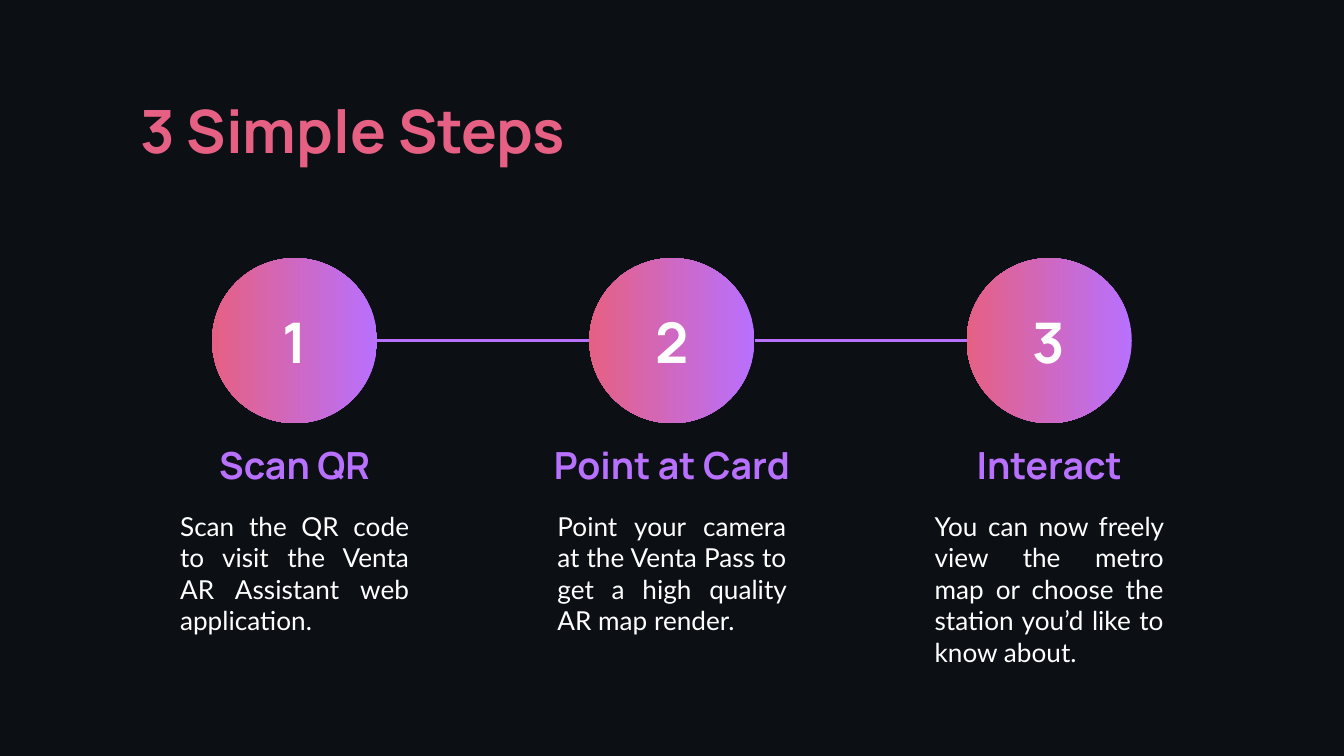
import pptx
import pptx.dml.color
import pptx.enum.shapes
import pptx.enum.text
import pptx.util
from lxml import etree
from pptx.oxml.ns import qn

Cm = pptx.util.Cm
Pt = pptx.util.Pt
ALIGN = pptx.enum.text.PP_ALIGN
ANCHOR = pptx.enum.text.MSO_ANCHOR

HEX = {"back": "0C0F14", "pink": "E66083", "violet": "B870FF", "white": "FFFFFF"}
STEPS = [
    ("Scan QR", 4.83,
     "Scan the QR code to visit the Venta AR Assistant web application."),
    ("Point at Card", 5.74,
     "Point your camera at the Venta Pass to get a high quality AR map render."),
    ("Interact", 4.83,
     "You can now freely view the metro map or choose the station you’d like to know about."),
]
WIDE, TALL = 25.4, 14.29
PITCH = 7.13    # between step centres
COL = 4.83      # width of a step
DISC = 3.12     # circle diameter
TOP = 4.88      # top of the steps


def color(name):
    return pptx.dml.color.RGBColor.from_string(HEX[name])


def write(shape, text, size, font, tint, align, bold=True, pad=0.25,
          anchor=ANCHOR.MIDDLE):
    frame = shape.text_frame
    frame.word_wrap = True
    frame.auto_size = pptx.enum.text.MSO_AUTO_SIZE.NONE
    frame.vertical_anchor = anchor
    frame.margin_left = frame.margin_right = Cm(0.25)
    frame.margin_top = frame.margin_bottom = Cm(pad)
    para = frame.paragraphs[0]
    para.text = text
    para.alignment = align
    para.font.size = Pt(size)
    para.font.name = font
    para.font.bold = bold
    para.font.color.rgb = color(tint)


def add_text(slide, x, y, w, h, *args, **style):
    box = slide.shapes.add_textbox(Cm(x), Cm(y), Cm(w), Cm(h))
    write(box, *args, **style)


def add_title(slide, x, y, w, h):
    title = slide.shapes.title
    title.left, title.top, title.width, title.height = Cm(x), Cm(y), Cm(w), Cm(h)
    write(title, "3 Simple Steps", 32, "Manrope", "pink", ALIGN.LEFT)


def add_disc(slide, x, y, size):
    disc = slide.shapes.add_shape(
        pptx.enum.shapes.MSO_SHAPE.OVAL, Cm(x), Cm(y), Cm(size), Cm(size))
    disc.shadow.inherit = False
    disc.line.fill.background()
    disc.fill.gradient()
    disc.fill.gradient_angle = 180
    for stop, name in zip(disc.fill.gradient_stops, ("violet", "pink")):
        stop.color.rgb = color(name)


def add_step(slide, x, y, num, head, span, body):
    """Place one step in the column whose top left corner is x, y."""
    mid = x + COL / 2
    add_disc(slide, mid - DISC / 2, y, DISC)
    add_text(slide, mid - DISC / 2, y + 1.04, DISC, 1.04,
             str(num), 30, "Manrope", "white", ALIGN.CENTER)
    add_text(slide, mid - span / 2, y + 3.38, span, 1.04,
             head, 20, "Manrope", "violet", ALIGN.CENTER)
    add_text(slide, x, y + 4.77, COL, 2.51, body, 14, "Lato", "white",
             ALIGN.JUSTIFY, bold=False, pad=0, anchor=ANCHOR.TOP)


def add_link(slide, x, y, w):
    link = slide.shapes.add_connector(
        pptx.enum.shapes.MSO_CONNECTOR.STRAIGHT, Cm(x), Cm(y), Cm(x + w), Cm(y))
    link.line.color.rgb = color("violet")
    link.line.width = Pt(1.5)
    etree.SubElement(link._element.spPr, qn("a:effectLst"))


def main():
    deck = pptx.Presentation()
    deck.slide_width, deck.slide_height = Cm(WIDE), Cm(TALL)
    slide = deck.slides.add_slide(deck.slide_layouts[5])
    slide.background.fill.solid()
    slide.background.fill.fore_color.rgb = color("back")

    add_title(slide, 2.4, 1.65, 20.6, 1.6)
    first = WIDE / 2 - PITCH    # centre of the first step
    for i, (head, span, body) in enumerate(STEPS):
        mid = first + i * PITCH
        add_step(slide, mid - COL / 2, TOP, i + 1, head, span, body)
        if i:
            add_link(slide, mid - PITCH + DISC / 2, TOP + DISC / 2, PITCH - DISC)
    deck.save("out.pptx")


if __name__ == "__main__":
    main()
